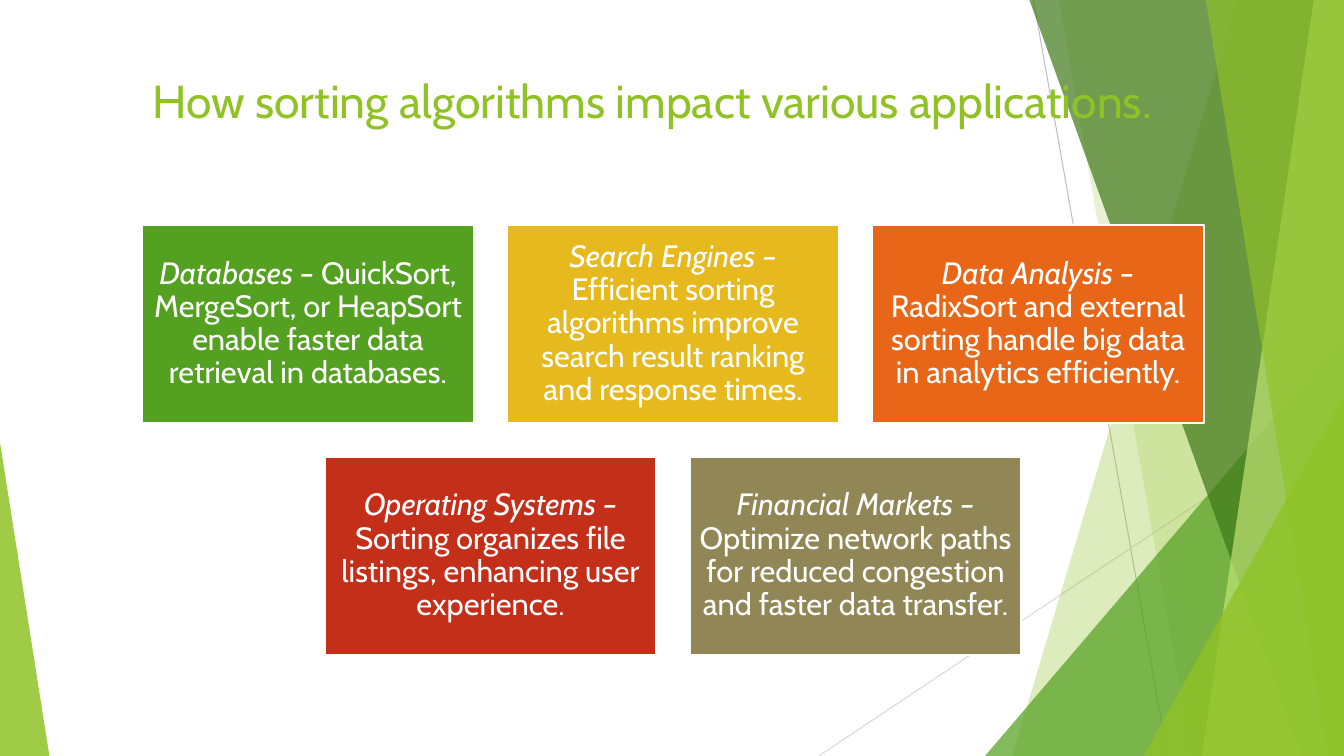
from lxml.etree import SubElement
from pptx import Presentation
from pptx.dml.color import RGBColor
from pptx.enum.shapes import MSO_CONNECTOR, MSO_SHAPE
from pptx.enum.text import MSO_ANCHOR, MSO_AUTO_SIZE, PP_ALIGN
from pptx.oxml.ns import qn
from pptx.util import Emu, Pt

PX = 9144
WIDTH, HEIGHT = 1333, 750
FONT = "Cabin"
WHITE = RGBColor(0xFF, 0xFF, 0xFF)
GRAY = RGBColor(0xBF, 0xBF, 0xBF)
LIGHT_GRAY = RGBColor(0xD9, 0xD9, 0xD9)
LIME = RGBColor(0x90, 0xC2, 0x26)
PALE_LIME = RGBColor(0xC0, 0xE4, 0x74)
GREEN = RGBColor(0x54, 0xA0, 0x21)
DARK_GREEN = RGBColor(0x3F, 0x78, 0x19)
YELLOW = RGBColor(0xE6, 0xB9, 0x1E)
ORANGE = RGBColor(0xE7, 0x66, 0x18)
RED = RGBColor(0xC4, 0x2F, 0x1A)
KHAKI = RGBColor(0x91, 0x86, 0x55)


def px(*lengths):
    return [Emu(length * PX) for length in lengths]


def style_run(run, size, color):
    run.font.name = FONT
    run.font.size = Pt(size)
    run.font.color.rgb = color


presentation = Presentation()
presentation.slide_width, presentation.slide_height = px(WIDTH, HEIGHT)
slide = presentation.slides.add_slide(presentation.slide_layouts[5])
shapes = slide.shapes

for ends, color in [((1025, 0, 1158, 750), GRAY), ((1333, 403, 812, 750), LIGHT_GRAY)]:
    line = shapes.add_connector(MSO_CONNECTOR.STRAIGHT, *px(*ends))
    line.line.color.rgb = color
    line.line.width = Pt(0.75)
    SubElement(line.element.spPr, qn("a:effectLst"))

panels = [
    ("slab", (1227, 1004), LIME, 30),
    ("slab", (1050, 1182), LIME, 20),
    ("triangle", (977, 333, 356, 1), GREEN, 72),
    ("slab", (1021, 1291), DARK_GREEN, 70),
    ("slab", (1303, 1192), PALE_LIME, 70),
    ("slab", (1196, 1317), LIME, 65),
    ("triangle", (1134, 393, 199, 1), LIME, 80),
    ("triangle", (0, 439, 49, 0), LIME, 85),
]
for kind, geometry, color, opacity in panels:
    if kind == "slab":
        top_x, bottom_x = geometry
        builder = shapes.build_freeform(top_x, 0, scale=PX)
        builder.add_line_segments([(WIDTH, 0), (WIDTH, HEIGHT), (bottom_x, HEIGHT)])
        panel = builder.convert_to_shape()
    else:
        left, top, width, apex = geometry
        panel = shapes.add_shape(
            MSO_SHAPE.ISOSCELES_TRIANGLE, *px(left, top, width, HEIGHT - top))
        panel.adjustments[0] = apex
    panel.shadow.inherit = False
    panel.line.fill.background()
    panel.fill.solid()
    panel.fill.fore_color.rgb = color
    fill_color = panel.element.spPr.find(".//" + qn("a:srgbClr"))
    SubElement(fill_color, qn("a:alpha"), val=str(opacity * 1000))

title = shapes.title
shapes.element.append(title.element)
title.left, title.top, title.width, title.height = px(141, 67, 1115, 120)
title.text_frame.text = "How sorting algorithms impact various applications."
title.text_frame.auto_size = MSO_AUTO_SIZE.NONE
title.text_frame.vertical_anchor = MSO_ANCHOR.TOP
title.text_frame.paragraphs[0].alignment = PP_ALIGN.LEFT
style_run(title.text_frame.paragraphs[0].runs[0], 33, LIME)

CARD_WIDTH, CARD_HEIGHT, GAP = 329, 197, 33
CARDS_TOP, CARDS_CENTER = 223, 667
card_rows = [
    [
        ("Databases – ", "QuickSort, MergeSort, or HeapSort enable faster data "
         "retrieval in databases.", GREEN),
        ("Search Engines – ", "Efficient sorting algorithms improve search result "
         "ranking and response times.", YELLOW),
        ("Data Analysis – ", "RadixSort and external sorting handle big data in "
         "analytics efficiently.", ORANGE),
    ],
    [
        ("Operating Systems – ", "Sorting organizes file listings, enhancing user "
         "experience.", RED),
        ("Financial Markets – ", "Optimize network paths for reduced congestion and "
         "faster data transfer.", KHAKI),
    ],
]
for row, cards in enumerate(card_rows):
    row_width = len(cards) * (CARD_WIDTH + GAP) - GAP
    row_left = CARDS_CENTER - row_width // 2
    top = CARDS_TOP + row * (CARD_HEIGHT + GAP)
    for column, (heading, detail, color) in enumerate(cards):
        left = row_left + column * (CARD_WIDTH + GAP)
        card = shapes.add_shape(
            MSO_SHAPE.RECTANGLE, *px(left, top, CARD_WIDTH, CARD_HEIGHT))
        card.shadow.inherit = False
        card.fill.solid()
        card.fill.fore_color.rgb = color
        card.line.color.rgb = WHITE
        card.line.width = Pt(1.5)
        frame = card.text_frame
        frame.word_wrap = True
        frame.vertical_anchor = MSO_ANCHOR.MIDDLE
        frame.margin_left, frame.margin_top, frame.margin_right, frame.margin_bottom = px(9, 9, 9, 9)
        paragraph = frame.paragraphs[0]
        paragraph.alignment = PP_ALIGN.CENTER
        paragraph.line_spacing = 0.9
        for text, italic in [(heading, True), (detail, False)]:
            run = paragraph.add_run()
            run.text = text
            run.font.italic = italic
            style_run(run, 22, WHITE)

presentation.save("out.pptx")
